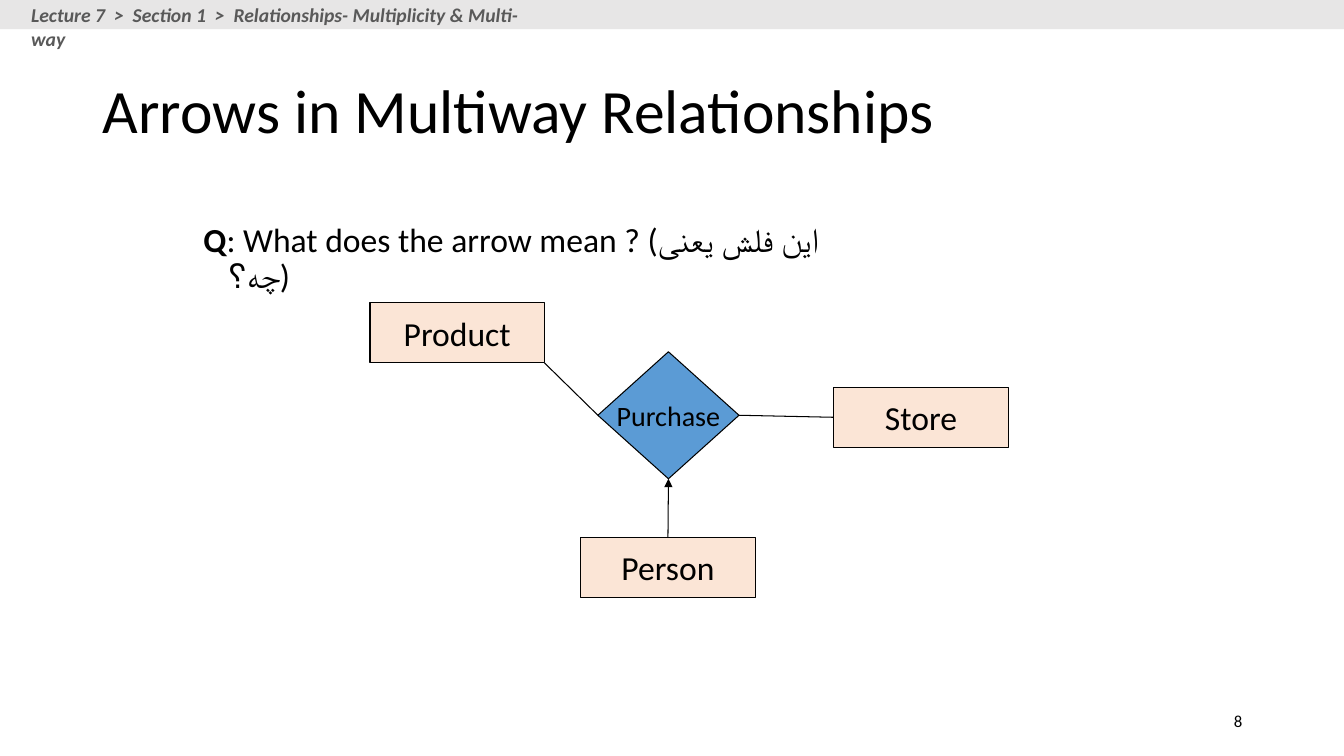
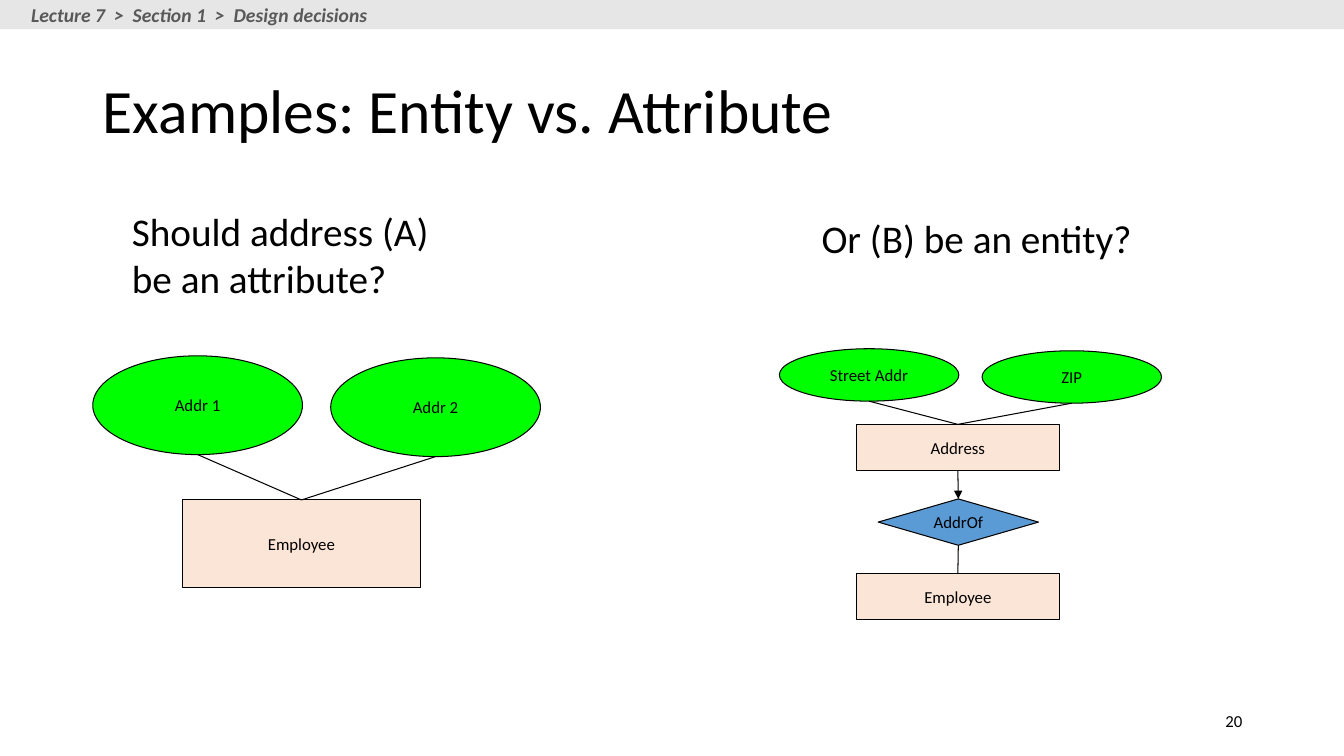
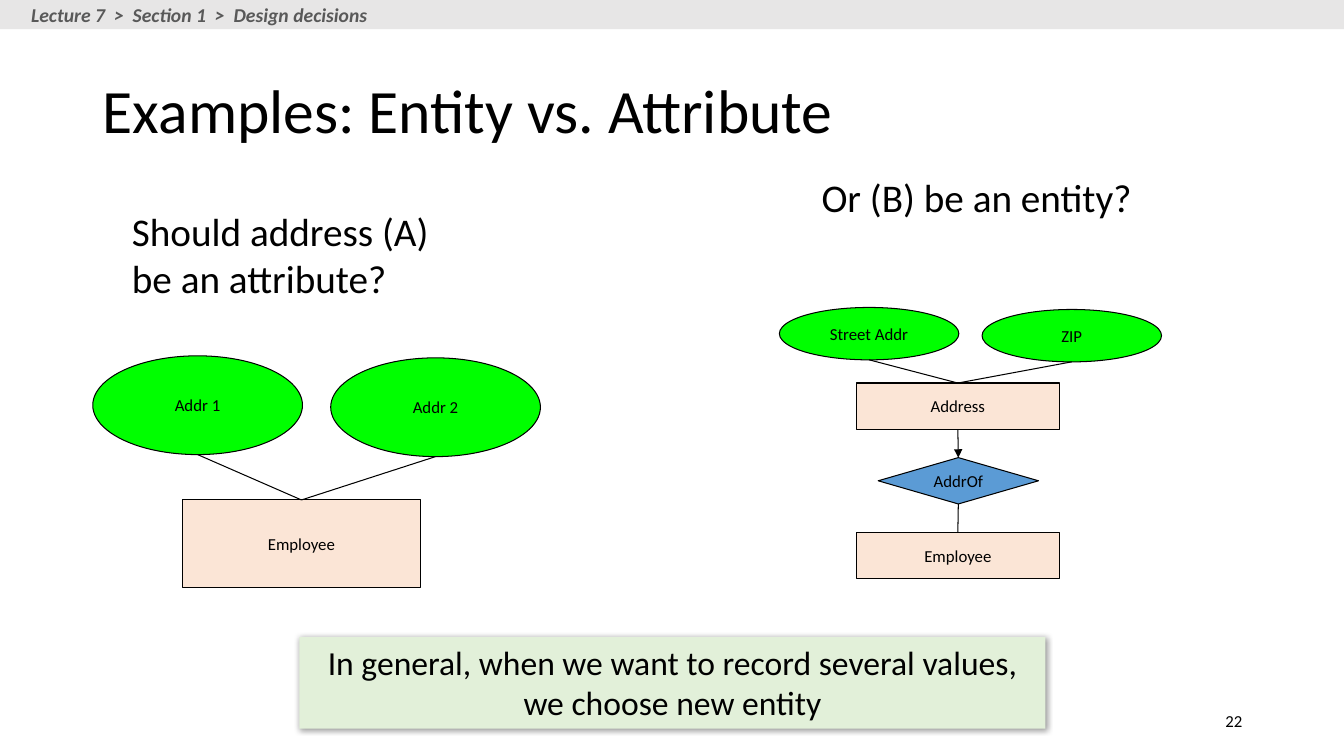
from pptx import Presentation
from pptx import util as u
from pptx.dml.color import RGBColor
from pptx.enum import shapes, text
from pptx.oxml import parse_xml
from pptx.oxml.ns import nsdecls, qn
from pptx.oxml.xmlchemy import OxmlElement

BLACK = RGBColor(0x00, 0x00, 0x00)
GRAY_TEXT = RGBColor(0x59, 0x59, 0x59)
BAND_GRAY = RGBColor(0xE7, 0xE6, 0xE6)
ENTITY_PEACH = RGBColor(0xFB, 0xE5, 0xD6)
RELATION_BLUE = RGBColor(0x5B, 0x9B, 0xD5)
ATTRIBUTE_GREEN = RGBColor(0x00, 0xFF, 0x00)
NOTE_GREEN = RGBColor(0xE2, 0xF0, 0xD9)

FONT = "Calibri"
SLIDE_WIDTH, SLIDE_HEIGHT = 13.33, 7.5
TITLE_ONLY = 5
LEFT, CENTER, RIGHT = (text.PP_ALIGN.LEFT, text.PP_ALIGN.CENTER,
                       text.PP_ALIGN.RIGHT)
MIDDLE = text.MSO_ANCHOR.MIDDLE

# Kind of diagram node: preset shape and fill
ENTITY = (shapes.MSO_SHAPE.RECTANGLE, ENTITY_PEACH)
RELATION = (shapes.MSO_SHAPE.DIAMOND, RELATION_BLUE)
ATTRIBUTE = (shapes.MSO_SHAPE.OVAL, ATTRIBUTE_GREEN)

# Side of a node: fraction of its width and height
SIDES = {"top": (0.5, 0), "left": (0, 0.5), "bottom": (0.5, 1),
         "right": (1, 0.5), "bottom right": (1, 1)}


def inches(*lengths):
    return [u.Inches(length) for length in lengths]


def add_run(paragraph, words, size, color=BLACK, bold=False, italic=False):
    run = paragraph.add_run()
    run.text = words
    font = run.font
    font.name, font.size, font.color.rgb = FONT, u.Pt(size), color
    font.bold, font.italic = bold, italic


def write(shape, words, size, align=LEFT, anchor=text.MSO_ANCHOR.TOP,
          wrap=True, **style):
    """Format the first paragraph of a shape and put one run in it."""
    frame = shape.text_frame
    frame.word_wrap, frame.vertical_anchor = wrap, anchor
    paragraph = frame.paragraphs[0]
    paragraph.alignment = align
    add_run(paragraph, words, size, **style)
    return paragraph


def add_text(slide, box, words, size, **options):
    return write(slide.shapes.add_textbox(*inches(*box)), words, size, **options)


def add_filled(container, preset, box, fill):
    shape = container.add_shape(preset, *inches(*box))
    shape.shadow.inherit = False
    shape.fill.solid()
    shape.fill.fore_color.rgb = fill
    shape.line.fill.background()
    return shape


def add_node(container, kind, box, label, size=12):
    preset, fill = kind
    node = add_filled(container, preset, box, fill)
    node.line.color.rgb, node.line.width = BLACK, u.Pt(0.75)
    write(node, label, size, align=CENTER, anchor=MIDDLE, wrap=False)
    return node


def side_point(node, side):
    across, down = SIDES[side]
    return (round(node.left + across * node.width),
            round(node.top + down * node.height))


def link(container, start, start_side, end, end_side, arrow=False):
    """Join the sides of two nodes, with an arrowhead at the end if asked."""
    line = container.add_connector(
        shapes.MSO_CONNECTOR.STRAIGHT,
        *side_point(start, start_side), *side_point(end, end_side))
    line.line.color.rgb, line.line.width = BLACK, u.Pt(0.75)
    properties = line._element.spPr
    if arrow:
        head = OxmlElement("a:tailEnd")
        head.set("type", "triangle")
        properties.find(qn("a:ln")).append(head)
    properties.append(OxmlElement("a:effectLst"))


def start_slide(presentation, title, number, topic, topic_width):
    """Add a slide with its title, breadcrumb band and number."""
    slide = presentation.slides.add_slide(presentation.slide_layouts[TITLE_ONLY])
    heading = slide.shapes.title
    heading.left, heading.top, heading.width, heading.height = inches(
        0.92, 0.4, 11.5, 1.45)
    write(heading, title, 44, anchor=MIDDLE).line_spacing = 0.9
    add_filled(slide.shapes, shapes.MSO_SHAPE.RECTANGLE,
               (0, 0, SLIDE_WIDTH, 0.29), BAND_GRAY)
    add_text(slide, (0.21, -0.02, topic_width, 0.34),
             f"Lecture 7  >  Section 1  >  {topic}", 14,
             color=GRAY_TEXT, bold=True, italic=True)
    add_text(slide, (9.42, 6.95, 3, 0.4), str(number), 12,
             align=RIGHT, anchor=MIDDLE)
    return slide


def add_question(slide, left, top):
    paragraph = add_text(slide, (left, top, 6.7, 0.47), "Q", 24, bold=True)
    add_run(paragraph, ": What does the arrow mean ? (این فلش یعنی چه؟)", 24)
    paragraph.line_spacing = 0.9
    properties = paragraph._p.get_or_add_pPr()
    properties.set("marL", str(u.Inches(0.25)))
    properties.set("indent", str(u.Inches(-0.25)))


def add_purchase_diagram(slide, left, top):
    group = slide.shapes.add_group_shape().shapes
    purchase = add_node(group, RELATION, (left + 2.26, top + 0.49, 1.4, 1.26),
                        "Purchase", 20)
    product, person, store = [
        add_node(group, ENTITY, (left + x, top + y, 1.73, 0.6), label, 24)
        for label, x, y in (("Product", 0, 0), ("Person", 2.09, 2.33),
                            ("Store", 4.6, 0.84))]
    link(group, purchase, "right", store, "left")
    link(group, person, "top", purchase, "bottom", arrow=True)
    link(group, product, "bottom right", purchase, "left")


def add_owner(group, owner_box, owner_label, attribute_boxes):
    """Draw an entity with its attributes linked to its top."""
    owner = add_node(group, ENTITY, owner_box, owner_label)
    for label, box in attribute_boxes.items():
        attribute = add_node(group, ATTRIBUTE, box, label)
        link(group, attribute, "bottom", owner, "top")
    return owner


def add_attribute_panel(slide, left, top):
    add_text(slide, (left + 0.29, top, 3.39, 1.04),
             "Should address (A) be an attribute?", 28)
    group = slide.shapes.add_group_shape().shapes
    add_owner(group, (left + 0.89, top + 2.95, 2.36, 0.87), "Employee",
              {"Addr 1": (left, top + 1.52, 2.08, 0.98),
               "Addr 2": (left + 2.36, top + 1.54, 2.08, 0.98)})


def add_entity_panel(slide, left, top):
    add_text(slide, (left + 0.32, top, 3.39, 0.57), "Or (B) be an entity?", 28)
    group = slide.shapes.add_group_shape().shapes
    address = add_owner(group, (left + 0.76, top + 2.13, 2.02, 0.46), "Address",
                        {"Street Addr": (left, top + 1.38, 1.78, 0.52),
                         "ZIP": (left + 2.01, top + 1.4, 1.78, 0.52)})
    address_of = add_node(group, RELATION,
                          (left + 0.98, top + 2.87, 1.59, 0.46), "AddrOf")
    employee = add_node(group, ENTITY,
                        (left + 0.76, top + 3.61, 2.02, 0.46), "Employee")
    link(group, address, "bottom", address_of, "top", arrow=True)
    link(group, address_of, "bottom", employee, "top")


def add_note(slide, box, words):
    """Add a filled note with a soft shadow."""
    note = add_filled(slide.shapes, shapes.MSO_SHAPE.RECTANGLE, box, NOTE_GREEN)
    write(note, words, 24, align=CENTER)
    note._element.spPr.find(qn("a:effectLst")).append(parse_xml(
        f'<a:outerShdw {nsdecls("a")} blurRad="50800" dist="12700" '
        'dir="2700000" algn="tl" rotWithShape="0"><a:srgbClr val="000000">'
        '<a:alpha val="40000"/></a:srgbClr></a:outerShdw>'))


def build_arrows_slide(presentation):
    slide = start_slide(presentation, "Arrows in Multiway Relationships", 8,
                        "Relationships- Multiplicity & Multi-way", 5.32)
    add_question(slide, 1.92, 2.17)
    add_purchase_diagram(slide, 3.67, 3)


def build_comparison_slide(presentation, number, entity_top, conclusion=None):
    slide = start_slide(presentation, "Examples: Entity vs. Attribute", number,
                        "Design decisions", 3.58)
    add_attribute_panel(slide, 0.92, 2.01)
    add_entity_panel(slide, 7.73, entity_top)
    if conclusion:
        add_note(slide, (2.97, 6.32, 7.4, 0.91), conclusion)


def main():
    presentation = Presentation()
    presentation.slide_width, presentation.slide_height = inches(
        SLIDE_WIDTH, SLIDE_HEIGHT)
    build_arrows_slide(presentation)
    build_comparison_slide(presentation, 20, 2.08)
    build_comparison_slide(
        presentation, 22, 1.67,
        "In general, when we want to record several values, "
        "we choose new entity")
    presentation.save("out.pptx")


if __name__ == "__main__":
    main()
